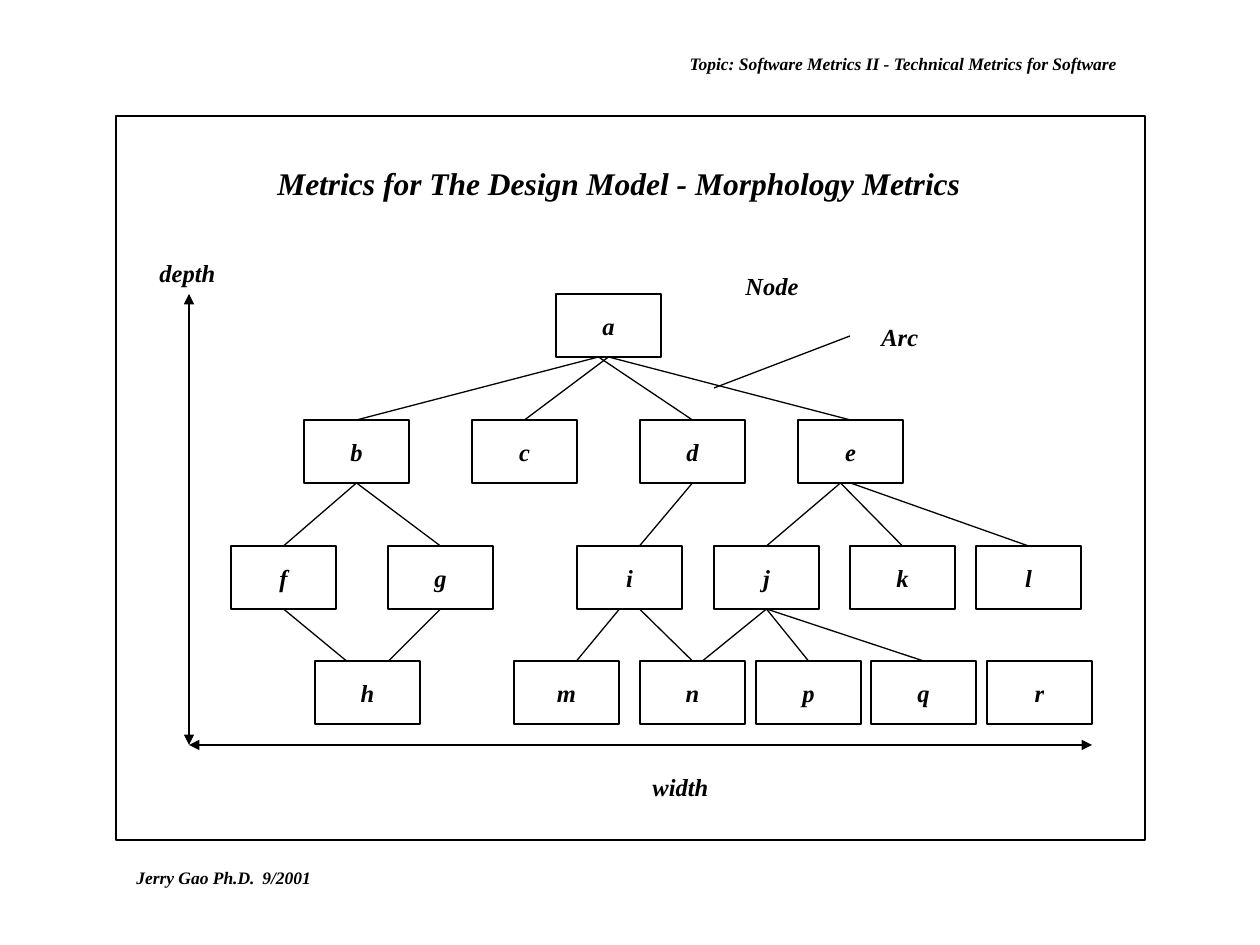
"""Build the slide on morphology metrics: a tree of nodes with depth and width axes."""
from lxml.etree import SubElement
from pptx import Presentation
from pptx.dml.color import RGBColor
from pptx.enum.shapes import MSO_CONNECTOR, MSO_SHAPE
from pptx.enum.text import MSO_ANCHOR, MSO_AUTO_SIZE, PP_ALIGN
from pptx.oxml.ns import qn
from pptx.util import Pt

PX = 914400 // 126
COLORS = {"ink": "000000", "paper": "FFFFFF"}
FONT = {"name": "Times New Roman", "bold": True, "italic": True}
SIZE = (1260, 945)
NODE = (105, 63)
FRAME = (116, 116, 1029, 724)

TITLE = ("Metrics for The Design Model - Morphology Metrics", (199, 158, 840, 50), 18)
LABELS = [
    ("Jerry Gao Ph.D.\t9/2001", (124, 861, 199, 34), 10, "left", "top", False),
    ("Topic: Software Metrics II - Technical Metrics for Software",
     (672, 42, 462, 42), 10, "center", "middle", True),
    ("Node", (733, 265, 78, 43), 14, "left", "top", False),
    ("Arc", (869, 316, 62, 43), 14, "left", "top", False),
    ("width", (640, 766, 95, 43), 14, "left", "top", True),
    ("depth", (147, 252, 95, 43), 14, "left", "top", True),
]
ROWS = [
    (294, {"a": 556}),
    (420, {"b": 304, "c": 472, "d": 640, "e": 798}),
    (546, {"f": 231, "g": 388, "i": 577, "j": 714, "k": 850, "l": 976}),
    (661, {"h": 315, "m": 514, "n": 640, "p": 756, "q": 871, "r": 987}),
]
# parent, child, offset from parent's middle, offset from child's middle
ARCS = [
    ("a", "b", -10, 0), ("a", "c", 0, 0), ("a", "d", -10, 0), ("a", "e", 0, 0),
    ("b", "f", 0, 0), ("b", "g", 0, 0), ("d", "i", 0, 10),
    ("e", "j", -10, 0), ("e", "k", -10, 0), ("e", "l", 0, 0),
    ("f", "h", 0, -21), ("g", "h", 0, 21), ("i", "m", -10, 10), ("i", "n", 10, 0),
    ("j", "n", 0, 10), ("j", "p", 0, 0), ("j", "q", 0, 0),
]
AXES = [(189, 294, 189, 745), (189, 745, 1092, 745)]
POINTER = (714, 388, 850, 336)


def emu(nums):
    return [round(n * 914400 / 126) for n in nums]


def color(name):
    return RGBColor.from_string(COLORS[name])


def write(shape, text, size, align="center", anchor="middle", wrap=True):
    frame = shape.text_frame
    look = {"word_wrap": wrap, "auto_size": MSO_AUTO_SIZE.NONE,
            "vertical_anchor": MSO_ANCHOR[anchor.upper()]}
    for key, val in look.items():
        setattr(frame, key, val)
    para = frame.paragraphs[0]
    para.alignment = PP_ALIGN[align.upper()]
    run = para.add_run()
    run.text = text
    for key, val in {**FONT, "size": Pt(size)}.items():
        setattr(run.font, key, val)
    run.font.color.rgb = color("ink")


def stroke(line):
    line.color.rgb = color("ink")
    line.width = Pt(0.75)


def add_box(slide, box, fill=None):
    shape = slide.shapes.add_shape(MSO_SHAPE.RECTANGLE, *emu(box))
    shape.shadow.inherit = False
    stroke(shape.line)
    if fill:
        shape.fill.solid()
        shape.fill.fore_color.rgb = color(fill)
    else:
        shape.fill.background()
    return shape


def add_line(slide, ends, arrows=False):
    line = slide.shapes.add_connector(MSO_CONNECTOR.STRAIGHT, *emu(ends))
    stroke(line.line)
    props = line._element.spPr
    if arrows:
        for tag in ("a:headEnd", "a:tailEnd"):
            SubElement(props.find(qn("a:ln")), qn(tag), type="triangle")
    SubElement(props, qn("a:effectLst"))
    return line


def add_tree(slide):
    wide, high = NODE
    nodes, spots = {}, {}
    for top, row in ROWS:
        for name, left in row.items():
            nodes[name] = add_box(slide, (left, top, wide, high), "paper")
            write(nodes[name], name, 14, wrap=False)
            spots[name] = (left + wide / 2, top)
    for start, end, out, into in ARCS:
        (x1, y1), (x2, y2) = spots[start], spots[end]
        line = add_line(slide, (x1 + out, y1 + high, x2 + into, y2))
        if not out:
            line.begin_connect(nodes[start], 2)
        if not into:
            line.end_connect(nodes[end], 0)


def main():
    deck = Presentation()
    deck.slide_width, deck.slide_height = emu(SIZE)
    slide = deck.slides.add_slide(deck.slide_layouts[5])
    text, box, size = TITLE
    title = slide.shapes.title
    for key, val in zip(("left", "top", "width", "height"), emu(box)):
        setattr(title, key, val)
    write(title, text, size, anchor="top")
    add_box(slide, FRAME)
    add_tree(slide)
    for axis in AXES:
        add_line(slide, axis, arrows=True)
    add_line(slide, POINTER)
    for text, box, *look in LABELS:
        write(slide.shapes.add_textbox(*emu(box)), text, *look)
    deck.save("out.pptx")


if __name__ == "__main__":
    main()
